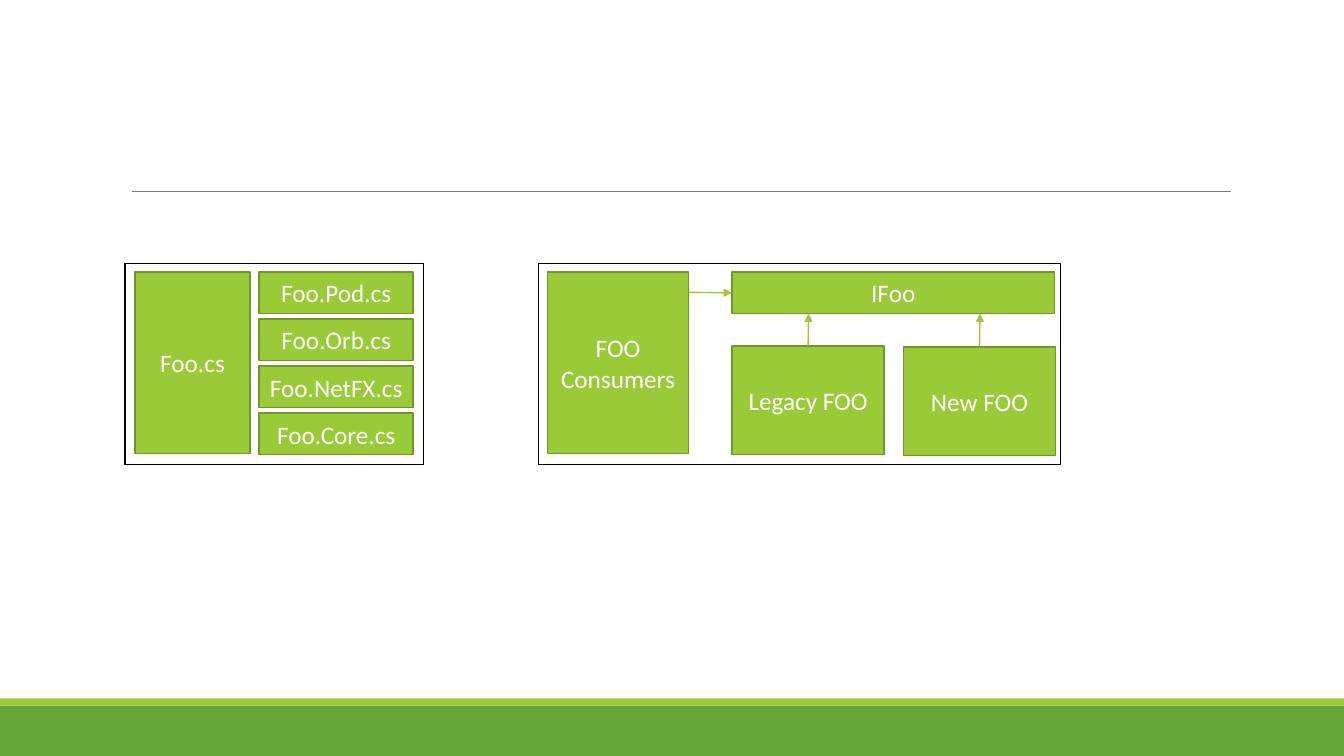
"""Build a slide comparing per-platform source files with an interface-based design."""
from lxml import etree
from pptx import Presentation
from pptx.dml.color import RGBColor
from pptx.enum.shapes import MSO_CONNECTOR as CONN, MSO_SHAPE as SHAPE
from pptx.enum.text import MSO_ANCHOR as ANCHOR, PP_ALIGN as ALIGN
from pptx.oxml.ns import qn
from pptx.util import Inches, Pt

COLORS = {
    "green": "63A537",
    "lime": "99CB38",
    "border": "719629",
    "rule": "808080",
    "frame": "000000",
    "text": "FFFFFF",
}
RGB = {name: RGBColor.from_string(value) for name, value in COLORS.items()}


def add_box(shapes, x, y, w, h, fill=None, line=None, width=1.25, text=None):
    sp = shapes.add_shape(SHAPE.RECTANGLE, Inches(x), Inches(y), Inches(w), Inches(h))
    sp.shadow.inherit = False
    if fill:
        sp.fill.solid()
        sp.fill.fore_color.rgb = RGB[fill]
    else:
        sp.fill.background()
    if line:
        sp.line.color.rgb = RGB[line]
        sp.line.width = Pt(width)
    else:
        sp.line.fill.background()
    if text:
        tf = sp.text_frame
        tf.word_wrap = True
        tf.vertical_anchor = ANCHOR.MIDDLE
        p = tf.paragraphs[0]
        p.alignment = ALIGN.CENTER
        r = p.add_run()
        r.text = text
        r.font.name = "Calibri"
        r.font.size = Pt(18)
        r.font.color.rgb = RGB["text"]
    return sp


def add_line(shapes, x1, y1, x2, y2, color, width, arrow=False):
    cx = shapes.add_connector(CONN.STRAIGHT, Inches(x1), Inches(y1), Inches(x2), Inches(y2))
    cx.line.color.rgb = RGB[color]
    cx.line.width = Pt(width)
    if arrow:
        etree.SubElement(cx.line._get_or_add_ln(), qn("a:tailEnd"), type="triangle")
    etree.SubElement(cx._element.spPr, qn("a:effectLst"))
    return cx


prs = Presentation()
prs.slide_width = Inches(13.33)
prs.slide_height = Inches(7.5)
s = prs.slides.add_slide(prs.slide_layouts[6])

add_box(s.shapes, 0, 7, 13.33, 0.5, "green")
add_box(s.shapes, 0, 6.93, 13.33, 0.07, "lime")
add_line(s.shapes, 1.31, 1.9, 12.21, 1.9, "rule", 0.5)

files = s.shapes.add_group_shape().shapes
add_box(files, 1.24, 2.61, 2.96, 2, line="frame", width=0.75)
add_box(files, 1.34, 2.7, 1.14, 1.8, "lime", "border", text="Foo.cs")
for i, platform in enumerate(["Pod", "Orb", "NetFX", "Core"]):
    add_box(files, 2.57, 2.7 + i * 1.4 / 3, 1.53, 0.41, "lime", "border",
            text=f"Foo.{platform}.cs")

design = s.shapes.add_group_shape().shapes
add_box(design, 5.34, 2.61, 5.18, 2, line="frame", width=0.75)
add_box(design, 5.43, 2.7, 1.4, 1.8, "lime", "border", text="FOO Consumers")
interface = add_box(design, 7.26, 2.7, 3.2, 0.41, "lime", "border", text="IFoo")
arrow = add_line(design, 6.83, 2.9, 7.26, 2.91, "lime", 1, arrow=True)
arrow.end_connect(interface, 1)

for name, x, y in [("Legacy FOO", 7.26, 3.43), ("New FOO", 8.96, 3.44)]:
    box = add_box(design, x, y, 1.51, 1.08, "lime", "border", text=name)
    arrow = add_line(design, x + 0.75, y, x + 0.76, 3.11, "lime", 1, arrow=True)
    arrow.begin_connect(box, 0)

prs.save("out.pptx")
